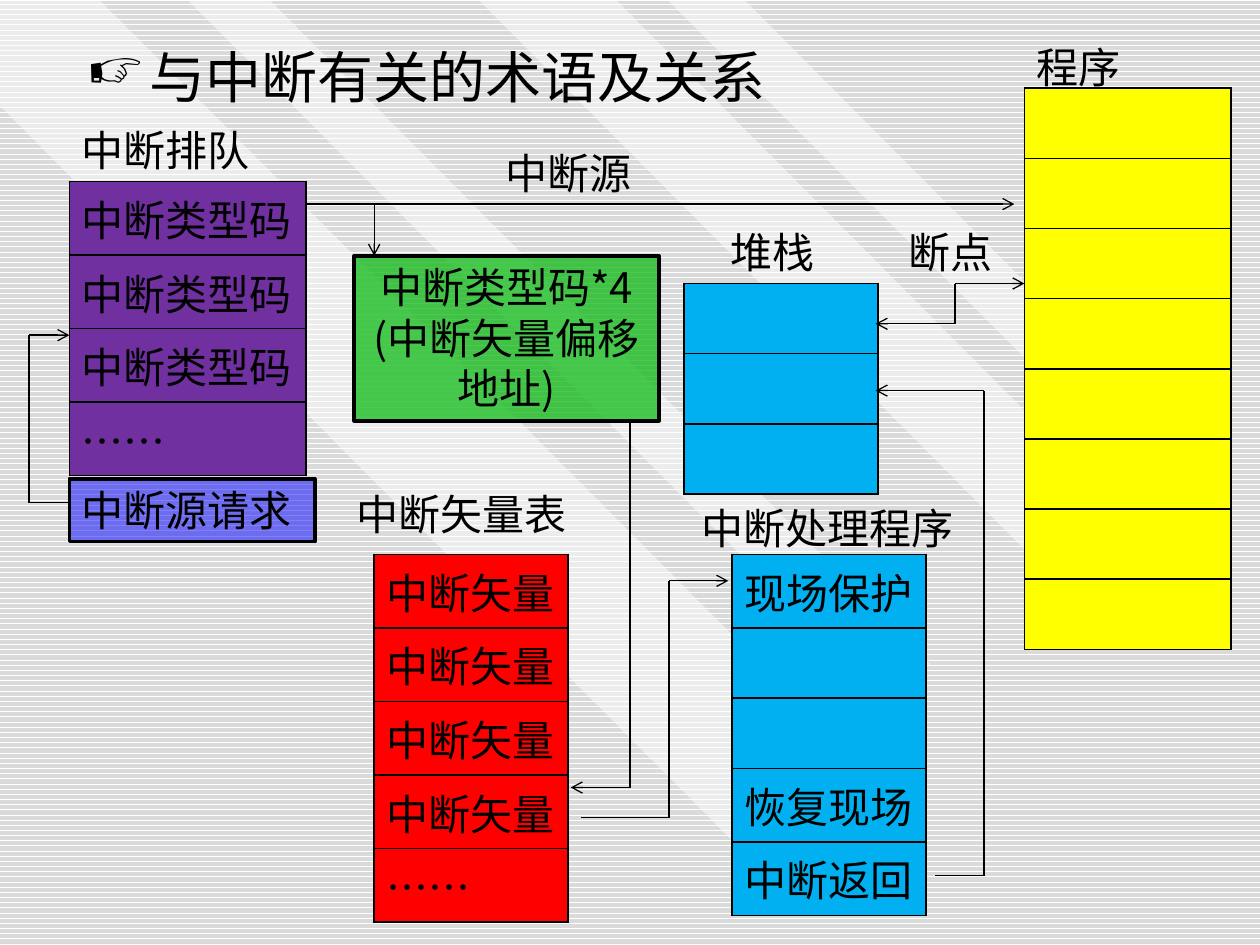
import pptx
import pptx.util
import pptx.dml.color
import pptx.enum.dml
import pptx.enum.shapes
import pptx.enum.text
import pptx.oxml
import pptx.oxml.ns
import lxml.etree

Inches = pptx.util.Inches
Pt = pptx.util.Pt
qn = pptx.oxml.ns.qn
FONT = "Noto Sans CJK SC"
COLORS = {
    "black": "000000", "white": "FFFFFF", "stripe": "DADADA", "program": "FFFF00",
    "queue": "7030A0", "vector": "FF0000", "handler": "00B0F0",
    "offset": "14BC1C", "request": "0000FF",
}


def set_color(color_format, name, alpha=100):
    """Colour a fill or font, with alpha as percent opacity."""
    color_format.rgb = pptx.dml.color.RGBColor.from_string(COLORS[name])
    if alpha < 100:
        color = color_format._xFill.find(qn("a:srgbClr"))
        lxml.etree.SubElement(color, qn("a:alpha"), val=str(alpha * 1000))


def write(paragraph, text, size=24):
    run = paragraph.add_run()
    run.text = text
    run.font.size = Pt(size)
    run.font.name = FONT
    set_color(run.font.color, "black")
    lxml.etree.SubElement(run._r.get_or_add_rPr(), qn("a:ea"), typeface=FONT)


presentation = pptx.Presentation()
presentation.slide_width, presentation.slide_height = Inches(10), Inches(7.5)
slide = presentation.slides.add_slide(presentation.slide_layouts[6])
shapes = slide.shapes

background = slide.background.fill
background.patterned()
background.pattern = pptx.enum.dml.MSO_PATTERN.DARK_HORIZONTAL
set_color(background.fore_color, "stripe")
set_color(background.back_color, "white")

# Translucent diagonal bands
bands = [
    [(6.7, 5.93), (0.79, 0), (0, 0), (0, 0.84), (5.89, 6.75)],
    [(2.14, 0), (7.38, 5.27), (7.06, 5.59), (1.49, 0)],
    [(4.89, 0), (8.76, 3.89), (8.21, 4.44), (3.8, 0)],
    [(5.3, 0), (8.97, 3.68), (9.27, 3.38), (5.91, 0)],
]
for start, *others in bands:
    builder = shapes.build_freeform(Inches(start[0]), Inches(start[1]), scale=1.0)
    builder.add_line_segments([(Inches(x), Inches(y)) for x, y in others], close=True)
    band = builder.convert_to_shape()
    band.shadow.inherit = False
    band.fill.solid()
    set_color(band.fill.fore_color, "white", 50)
    band.line.fill.background()

# One-column tables: left, top, width, row height, fill, cell texts
tables = [
    (8.13, 0.7, 1.64, 0.557, "program", [""] * 8),
    (0.55, 1.44, 1.88, 0.5, "queue", ["中断类型码"] * 3 + ["……"]),
    (2.97, 4.4, 1.54, 0.557, "vector", ["中断矢量"] * 4 + ["……"]),
    (5.81, 4.4, 1.54, 0.557, "handler", ["现场保护", "", "", "恢复现场", "中断返回"]),
    (5.43, 2.25, 1.54, 0.557, "handler", [""] * 3),
]
for left, top, width, row_height, fill, texts in tables:
    frame = shapes.add_table(len(texts), 1, Inches(left), Inches(top),
                             Inches(width), Inches(row_height * len(texts)))
    table = frame.table
    table.first_row = table.horz_banding = False
    for index, text in enumerate(texts):
        table.rows[index].height = Inches(row_height)
        cell = table.cell(index, 0)
        properties = cell._tc.get_or_add_tcPr()
        for side in ("lnL", "lnR", "lnT", "lnB"):
            border = lxml.etree.SubElement(properties, qn(f"a:{side}"), w=str(Pt(1)))
            solid = lxml.etree.SubElement(border, qn("a:solidFill"))
            lxml.etree.SubElement(solid, qn("a:srgbClr"), val=COLORS["black"])
        cell.fill.solid()
        set_color(cell.fill.fore_color, fill)
        if text:
            write(cell.text_frame.paragraphs[0], text)

labels = [
    ("程序", 8.13, 0.28, 1.02), ("中断源", 3.91, 1.12, 1.41),
    ("中断排队", 0.55, 0.94, 1.56), ("中断矢量表", 2.73, 3.83, 2.03),
    ("中断处理程序", 5.47, 3.94, 2.34), ("断点", 7.11, 1.75, 0.94),
    ("堆栈", 5.7, 1.75, 1.41),
]
for text, left, top, width in labels:
    label = shapes.add_textbox(Inches(left), Inches(top), Inches(width), Inches(0.5))
    label.text_frame.word_wrap = True
    write(label.text_frame.paragraphs[0], text)

# Boxes: left, top, width, height, fill, opacity, alignment, paragraphs
align = pptx.enum.text.PP_ALIGN
boxes = [
    (2.81, 2.03, 2.42, 1.31, "offset", 77, align.CENTER, ["中断类型码*4", "(中断矢量偏移地址)"]),
    (0.55, 3.8, 1.95, 0.5, "request", 50, align.LEFT, ["中断源请求"]),
]
for left, top, width, height, fill, alpha, alignment, texts in boxes:
    box = shapes.add_shape(pptx.enum.shapes.MSO_SHAPE.RECTANGLE, Inches(left),
                           Inches(top), Inches(width), Inches(height))
    box.shadow.inherit = False
    box.fill.solid()
    set_color(box.fill.fore_color, fill, alpha)
    set_color(box.line.color, "black")
    box.line.width = Pt(2)
    frame = box.text_frame
    frame.word_wrap = True
    frame.vertical_anchor = pptx.enum.text.MSO_ANCHOR.TOP
    for index, text in enumerate(texts):
        paragraph = frame.add_paragraph() if index else frame.paragraphs[0]
        paragraph.alignment = alignment
        write(paragraph, text)

# Routes through corner points: the flag puts an arrowhead on the last leg
routes = [
    ([(2.42, 1.62), (8.05, 1.62)], True),
    ([(2.97, 1.62), (2.97, 2.03)], True),
    ([(7.58, 2.25), (8.13, 2.25)], True),
    ([(7.58, 2.25), (7.58, 2.57), (6.95, 2.57)], True),
    ([(7.42, 6.95), (7.81, 6.95), (7.81, 3.1), (6.95, 3.1)], True),
    ([(4.61, 6.49), (5.31, 6.49), (5.31, 4.61), (5.78, 4.61)], True),
    ([(5, 3.36), (5, 6.25), (4.53, 6.25)], True),
    ([(0.55, 3.99), (0.23, 3.99), (0.23, 2.66), (0.55, 2.66)], True),
]
for points, has_arrow in routes:
    for begin, end in zip(points, points[1:]):
        connector = shapes.add_connector(
            pptx.enum.shapes.MSO_CONNECTOR.STRAIGHT,
            *[Inches(value) for value in begin + end])
        set_color(connector.line.color, "black")
        connector.line.width = Pt(0.75)
        lxml.etree.SubElement(connector._element.spPr, qn("a:effectLst"))
        if has_arrow and end == points[-1]:
            line = connector.line._get_or_add_ln()
            lxml.etree.SubElement(line, qn("a:tailEnd"), type="arrow")

title = shapes.add_textbox(Inches(0.59), Inches(0.29), Inches(6.75), Inches(0.63))
title.text_frame.word_wrap = True
paragraph = title.text_frame.paragraphs[0]
properties = paragraph._p.get_or_add_pPr()
properties.set("marL", str(Inches(0.5)))
properties.set("indent", str(Inches(-0.5)))
lxml.etree.SubElement(properties, qn("a:buChar"), char="☞")
write(paragraph, "与中断有关的术语及关系", 32)

presentation.save("out.pptx")
